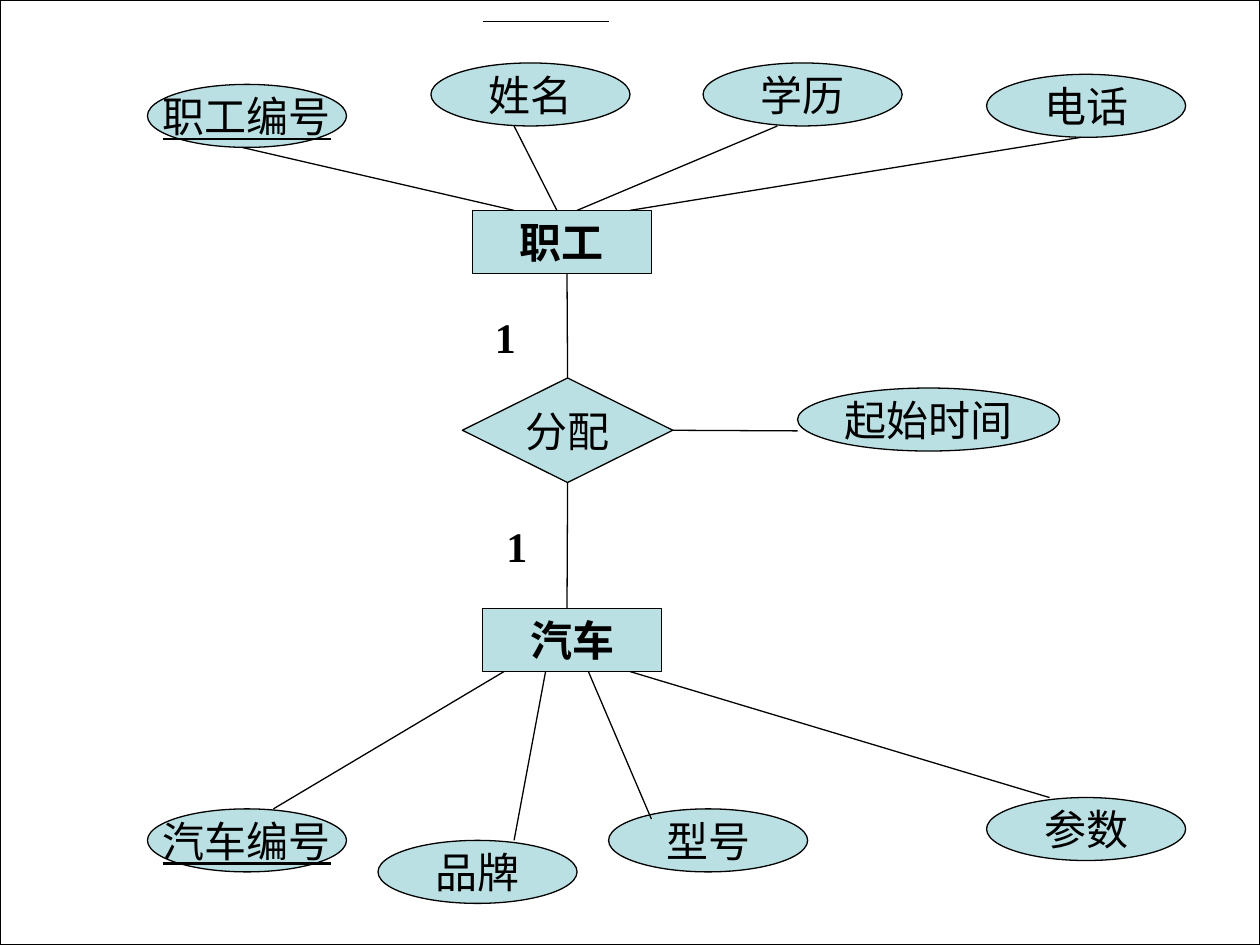
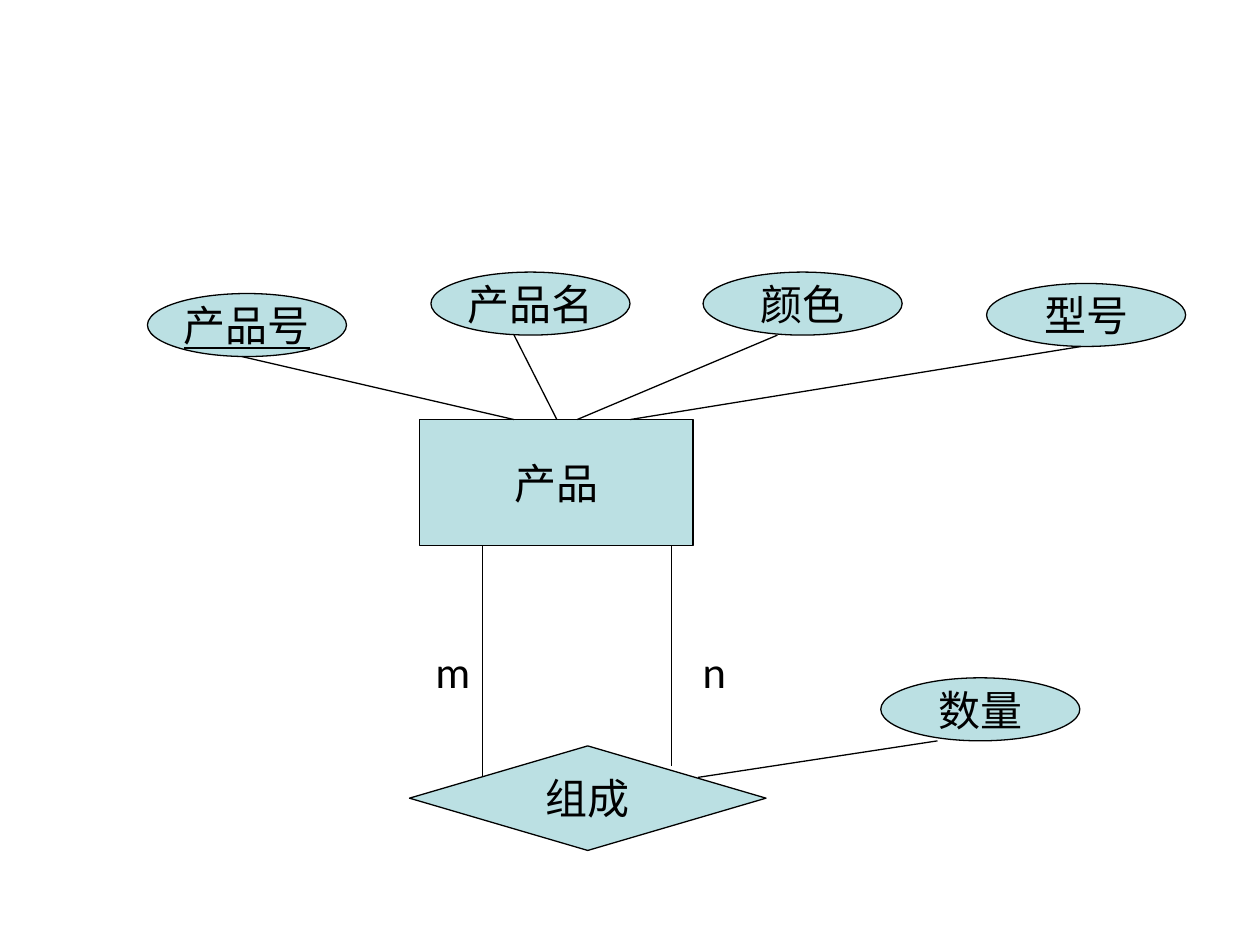
from dataclasses import dataclass

from pptx import Presentation
from pptx.dml.color import RGBColor
from pptx.enum.shapes import MSO_CONNECTOR, MSO_SHAPE
from pptx.enum.text import MSO_ANCHOR, PP_ALIGN
from pptx.oxml import parse_xml
from pptx.oxml.ns import nsdecls
from pptx.util import Inches, Pt


@dataclass(frozen=True)
class Theme:
    paper = RGBColor(0xFF, 0xFF, 0xFF)
    fill = RGBColor(0xBB, 0xE0, 0xE3)
    ink = RGBColor(0, 0, 0)
    sans: str = "Lato"
    serif: str = "Times New Roman"
    size = Pt(24)
    line_width = Pt(0.75)


THEME = Theme()
OVAL_WIDTH, OVAL_HEIGHT = 1.58, 0.5
BOLD_SERIF = {"font": THEME.serif, "bold": True}
KEY = {"underline": True}

UPPER_FAN = [
    (1.17, 1.0, 1.92, 4.08),
    (3.42, 1.17, 4.08, 4.42),
    (5.58, 1.17, 6.17, 4.58),
    (7.83, 1.08, 8.58, 5.0),
]

DIAGRAMS = [
    {
        "frame": (0, 0, 10, 7.5),
        "fan_base": 1.67,
        "fan_names": ["职工编号", "姓名", "学历", "电话"],
        "entities": [
            ("职工", (3.75, 1.67, 1.42, 0.5), BOLD_SERIF),
            ("汽车", (3.83, 4.83, 1.42, 0.5), BOLD_SERIF),
        ],
        "relationship": ("分配", (3.67, 3, 1.67, 0.83), {"font": THEME.serif}),
        "attributes": [
            ("汽车编号", (1.17, 6.42, OVAL_WIDTH, OVAL_HEIGHT), KEY),
            ("参数", (7.83, 6.33, OVAL_WIDTH, OVAL_HEIGHT), {}),
            ("型号", (4.83, 6.42, OVAL_WIDTH, OVAL_HEIGHT), {}),
            ("品牌", (3, 6.67, OVAL_WIDTH, OVAL_HEIGHT), {}),
            ("起始时间", (6.33, 3.08, 2.08, OVAL_HEIGHT), {}),
        ],
        "cardinalities": [
            ("1", (3.83, 2.42, 0.42, 0.5), PP_ALIGN.LEFT, BOLD_SERIF),
            ("1", (3.92, 4.08, 0.42, 0.5), PP_ALIGN.LEFT, BOLD_SERIF),
        ],
        "relationship_links": [
            ((4.5, 3), (4.5, 2.17), 0),
            ((4.5, 3.83), (4.5, 4.83), 2),
            ((5.33, 3.42), (6.33, 3.42), 3),
        ],
        "links": [
            ((4, 5.33), (2.17, 6.42)),
            ((4.33, 5.33), (4.08, 6.67)),
            ((4.67, 5.33), (5.17, 6.5)),
            ((5, 5.33), (8.33, 6.33)),
            ((3.83, 0.17), (4.83, 0.17)),
        ],
    },
    {
        "frame": None,
        "fan_base": 3.33,
        "fan_names": ["产品号", "产品名", "颜色", "型号"],
        "entities": [("产品", (3.33, 3.33, 2.17, 1), {})],
        "relationship": ("组成", (3.25, 5.92, 2.83, 0.83), {}),
        "attributes": [("数量", (6.99, 5.38, OVAL_WIDTH, OVAL_HEIGHT), {})],
        "cardinalities": [
            ("m", (2.83, 5.08, 1, 0.5), PP_ALIGN.RIGHT, {}),
            ("n", (5.17, 5.08, 1, 0.5), PP_ALIGN.CENTER, {}),
        ],
        "relationship_links": [],
        "links": [
            ((3.83, 4.33), (3.83, 6.17)),
            ((5.33, 6.08), (5.33, 4.33)),
            ((7.44, 5.88), (5.54, 6.17)),
        ],
    },
]


def write_text(shape, text, align, font=THEME.sans, bold=False, underline=False):
    paragraph = shape.text_frame.paragraphs[0]
    paragraph.text = text
    paragraph.alignment = align
    paragraph.font.name = font
    paragraph.font.size = THEME.size
    paragraph.font.color.rgb = THEME.ink
    paragraph.font.bold = bold
    paragraph.font.underline = underline


def add_outlined(slide, kind, box, fill):
    shape = slide.shapes.add_shape(kind, *map(Inches, box))
    shape.shadow.inherit = False
    shape.fill.solid()
    shape.fill.fore_color.rgb = fill
    shape.line.color.rgb = THEME.ink
    shape.line.width = THEME.line_width
    return shape


def add_node(slide, kind, text, box, style):
    shape = add_outlined(slide, kind, box, THEME.fill)
    shape.text_frame.word_wrap = False
    shape.text_frame.vertical_anchor = MSO_ANCHOR.MIDDLE
    write_text(shape, text, PP_ALIGN.CENTER, **style)
    return shape


def add_label(slide, text, box, align, style):
    label = slide.shapes.add_textbox(*map(Inches, box))
    label.text_frame.word_wrap = True
    write_text(label, text, align, **style)


def add_link(slide, start, end):
    link = slide.shapes.add_connector(MSO_CONNECTOR.STRAIGHT, *map(Inches, start + end))
    link.line.color.rgb = THEME.ink
    link.line.width = THEME.line_width
    link._element.spPr.append(parse_xml(f"<a:effectLst {nsdecls('a')}/>"))
    return link


def add_upper_fan(slide, names, base):
    for index, (name, place) in enumerate(zip(names, UPPER_FAN)):
        left, rise, start, end = place
        top = base - rise
        box = (left, top, OVAL_WIDTH, OVAL_HEIGHT)
        add_node(slide, MSO_SHAPE.OVAL, name, box, {} if index else KEY)
        add_link(slide, (start, top + OVAL_HEIGHT), (end, base))


def build_diagram(slide, diagram):
    if diagram["frame"]:
        add_outlined(slide, MSO_SHAPE.RECTANGLE, diagram["frame"], THEME.paper)
    for entity in diagram["entities"]:
        add_node(slide, MSO_SHAPE.RECTANGLE, *entity)
    relationship = add_node(slide, MSO_SHAPE.DIAMOND, *diagram["relationship"])
    add_upper_fan(slide, diagram["fan_names"], diagram["fan_base"])
    for attribute in diagram["attributes"]:
        add_node(slide, MSO_SHAPE.OVAL, *attribute)
    for cardinality in diagram["cardinalities"]:
        add_label(slide, *cardinality)
    for start, end, site in diagram["relationship_links"]:
        add_link(slide, start, end).begin_connect(relationship, site)
    for start, end in diagram["links"]:
        add_link(slide, start, end)


def main():
    presentation = Presentation()
    presentation.slide_width = Inches(10)
    presentation.slide_height = Inches(7.5)
    for diagram in DIAGRAMS:
        slide = presentation.slides.add_slide(presentation.slide_layouts[6])
        build_diagram(slide, diagram)
    presentation.save("out.pptx")


if __name__ == "__main__":
    main()
